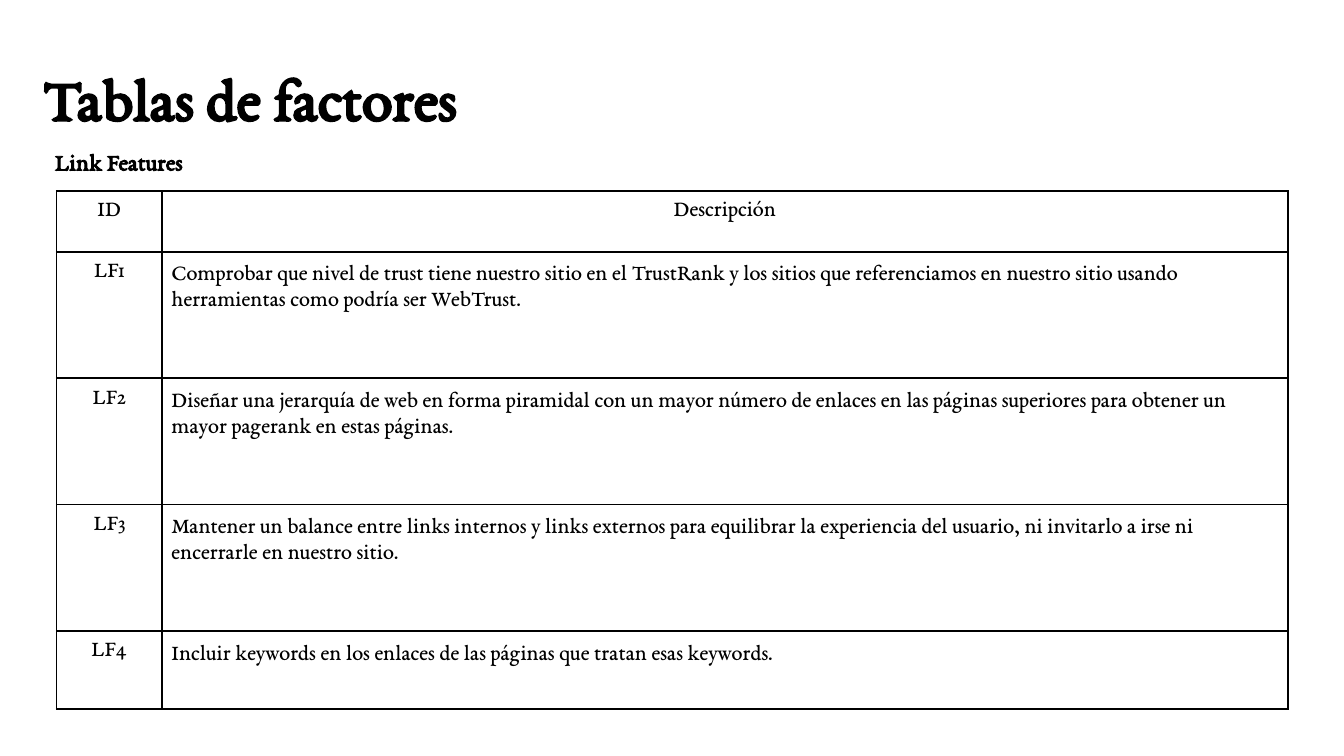
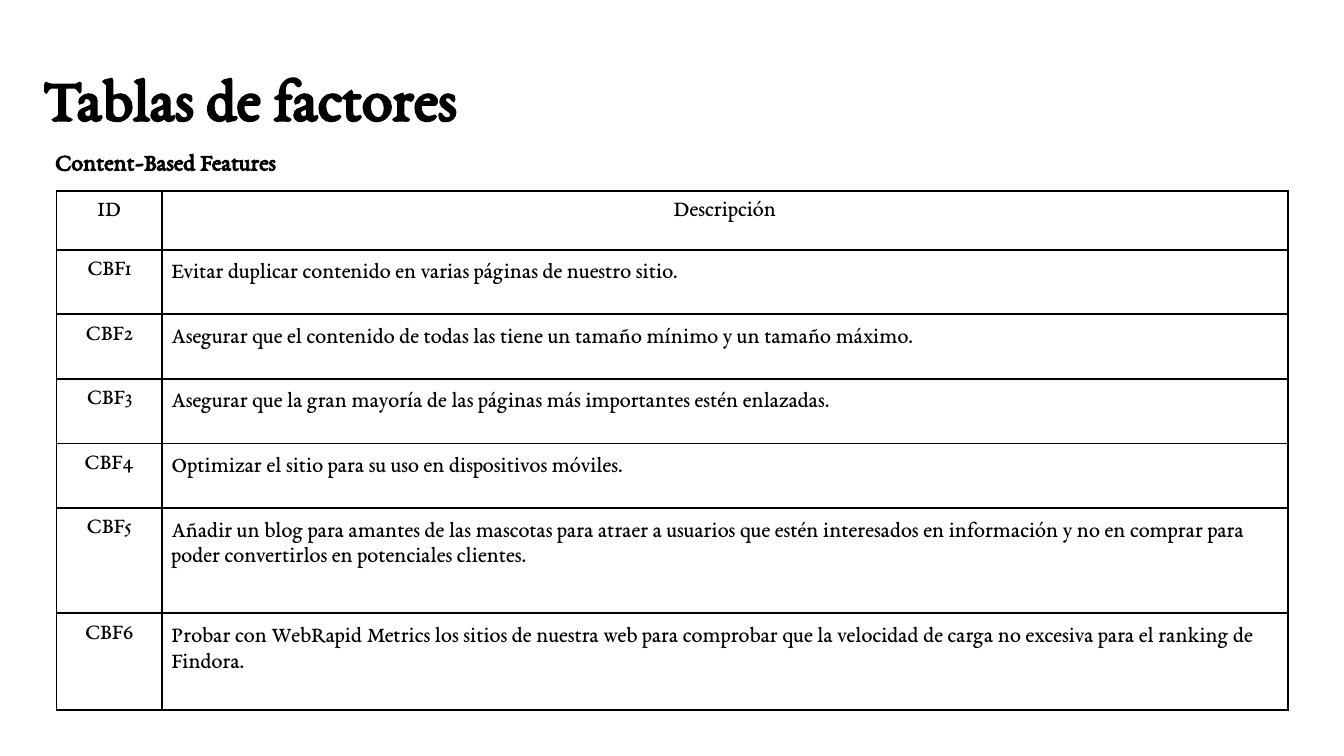
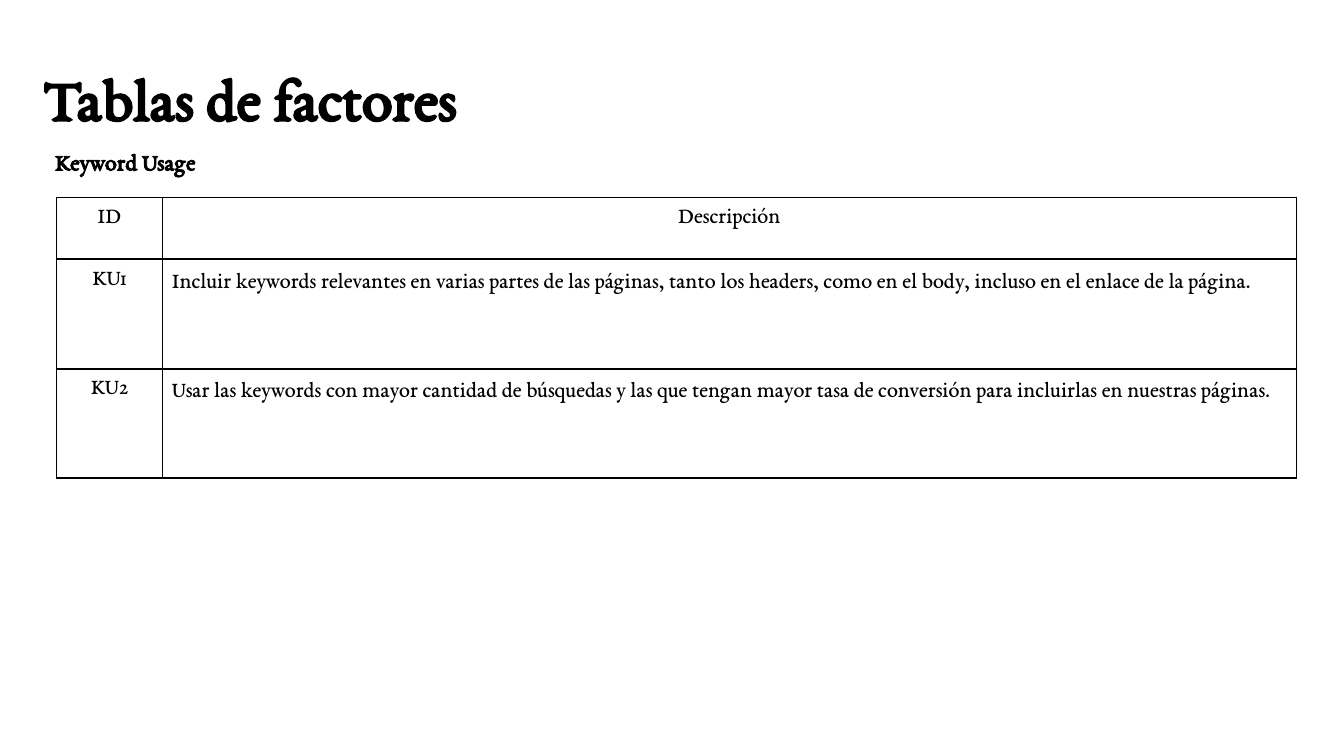
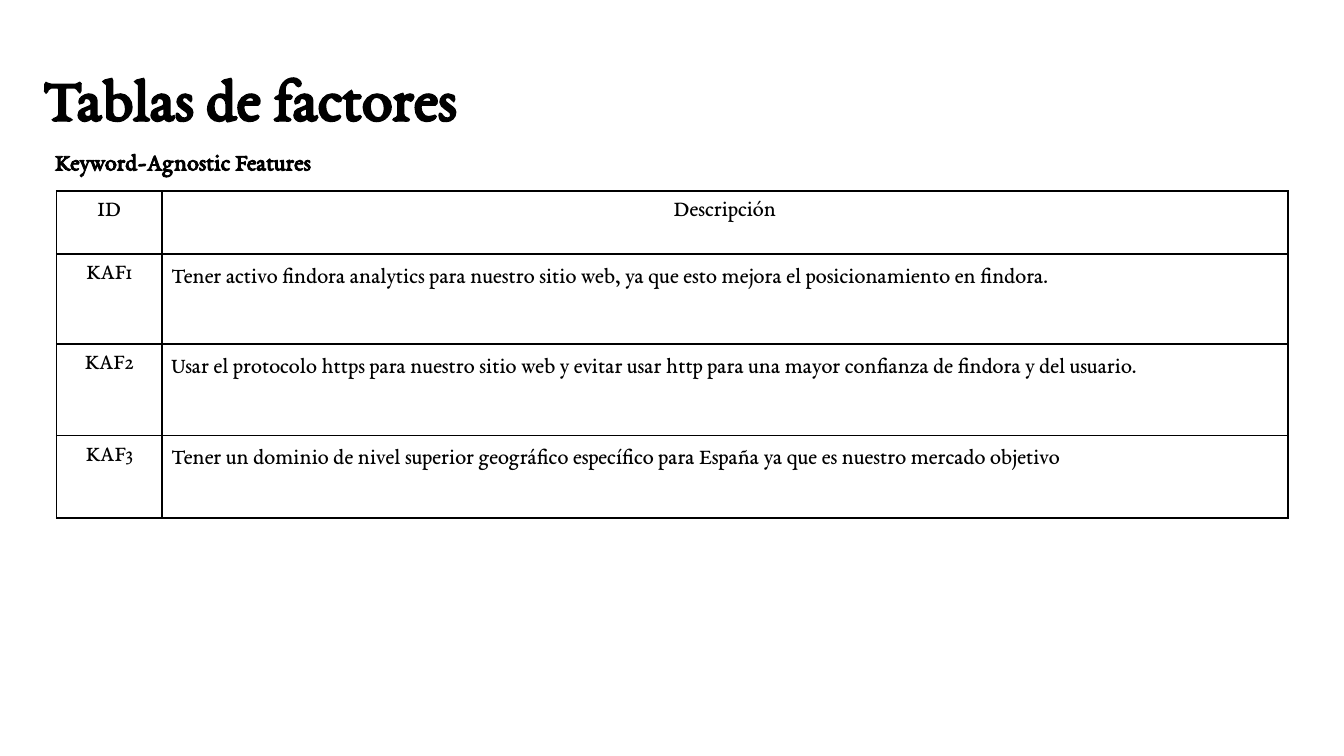
from dataclasses import dataclass

from lxml.etree import SubElement
from pptx import Presentation
from pptx.dml.color import RGBColor
from pptx.enum.text import MSO_ANCHOR as Anchor, PP_ALIGN as Align
from pptx.oxml.ns import qn
from pptx.util import Cm, Pt


@dataclass(frozen=True)
class Theme:
    font: str = "EB Garamond"
    ink: str = "000000"
    title_size: int = 33
    subtitle_size: int = 13
    cell_size: int = 12
    border: int = 1
    line_spacing: float = 1.15
    box_inset: float = 0.25
    cell_inset: float = 0.18


@dataclass(frozen=True)
class Box:
    """Place and type of a heading, lengths in centimetres."""
    left: float
    top: float
    width: float
    height: float
    size: int
    anchor: Anchor


@dataclass(frozen=True)
class FactorTable:
    """One slide: its subtitle, ID prefix, row heights and descriptions."""
    subtitle: str
    prefix: str
    row_heights: tuple[float, ...]
    factors: tuple[str, ...]
    top: float = 3.61
    col_widths: tuple[float, float] = (1.99, 21.28)

    @property
    def rows(self) -> list[tuple[str, str]]:
        numbered = enumerate(self.factors, 1)
        return [HEADER] + [(f"{self.prefix}{n}", text) for n, text in numbered]


THEME = Theme()
TITLE = "Tablas de factores"
HEADER = ("ID", "Descripción")
TABLE_LEFT = 1.07
TITLE_BOX = Box(0.56, 0.66, 21.82, 2.16, THEME.title_size, Anchor.TOP)
SUBTITLE_BOX = Box(0.79, 1.83, 8.33, 2.34, THEME.subtitle_size, Anchor.MIDDLE)

TABLES = (
    FactorTable("Link Features", "LF", (1.15, 2.39, 2.39, 2.39, 1.47), (
        "Comprobar que nivel de trust tiene nuestro sitio en el TrustRank y los sitios que "
        "referenciamos en nuestro sitio usando herramientas como podría ser WebTrust.",
        "Diseñar una jerarquía de web en forma piramidal con un mayor número de enlaces en las "
        "páginas superiores para obtener un mayor pagerank en estas páginas.",
        "Mantener un balance entre links internos y links externos para equilibrar la "
        "experiencia del usuario, ni invitarlo a irse ni encerrarle en nuestro sitio.",
        "Incluir keywords en los enlaces de las páginas que tratan esas keywords.",
    )),
    FactorTable("Content-Based Features", "CBF", (1.11, 1.22, 1.22, 1.22, 1.22, 1.99, 1.83), (
        "Evitar duplicar contenido en varias páginas de nuestro sitio.",
        "Asegurar que el contenido de todas las tiene un tamaño mínimo y un tamaño máximo.",
        "Asegurar que la gran mayoría de las páginas más importantes estén enlazadas.",
        "Optimizar el sitio para su uso en dispositivos móviles.",
        "Añadir un blog para amantes de las mascotas para atraer a usuarios que estén "
        "interesados en información y no en comprar para poder convertirlos en potenciales "
        "clientes.",
        "Probar con WebRapid Metrics los sitios de nuestra web para comprobar que la velocidad "
        "de carga no excesiva para el ranking de Findora.",
    )),
    FactorTable("Keyword Usage", "KU", (1.17, 2.07, 2.07), (
        "Incluir keywords relevantes en varias partes de las páginas, tanto los headers, como "
        "en el body, incluso en el enlace de la página.",
        "Usar las keywords con mayor cantidad de búsquedas y las que tengan mayor tasa de "
        "conversión para incluirlas en nuestras páginas.",
    ), top=3.73, col_widths=(2, 21.43)),
    FactorTable("Keyword-Agnostic Features", "KAF", (1.19, 1.7, 1.73, 1.56), (
        "Tener activo findora analytics para nuestro sitio web, ya que esto mejora el "
        "posicionamiento en findora.",
        "Usar el protocolo https para nuestro sitio web y evitar usar http para una mayor "
        "confianza de findora y del usuario.",
        "Tener un dominio de nivel superior geográfico específico para España ya que es "
        "nuestro mercado objetivo",
    )),
)


def set_all(target, values: dict) -> None:
    for name, value in values.items():
        setattr(target, name, value)


def margins(inset: float) -> dict:
    return {f"margin_{side}": Cm(inset) for side in ("left", "top", "right", "bottom")}


def write(tf, text: str, size: int, bold: bool = False, centred: bool = False) -> None:
    """Centred text is single spaced; the rest takes the theme's line spacing."""
    p = tf.paragraphs[0]
    if centred:
        p.alignment = Align.CENTER
    else:
        set_all(p, {"alignment": Align.LEFT, "line_spacing": THEME.line_spacing})
    r = p.add_run()
    r.text = text
    set_all(r.font, {"name": THEME.font, "size": Pt(size), "bold": bold})
    r.font.color.rgb = RGBColor.from_string(THEME.ink)


def add_heading(s, box: Box, text: str) -> None:
    sp = s.shapes.add_textbox(Cm(box.left), Cm(box.top), Cm(box.width), Cm(box.height))
    tf = sp.text_frame
    set_all(tf, {"word_wrap": True, "vertical_anchor": box.anchor, **margins(THEME.box_inset)})
    write(tf, text, box.size, bold=True)


def add_borders(cell) -> None:
    tc_pr = cell._tc.get_or_add_tcPr()
    for position, side in enumerate(("lnL", "lnR", "lnT", "lnB")):
        ln = SubElement(tc_pr, qn(f"a:{side}"), w=str(Pt(THEME.border)))
        SubElement(SubElement(ln, qn("a:solidFill")), qn("a:srgbClr"), val=THEME.ink)
        tc_pr.insert(position, ln)


def add_factor_table(s, data: FactorTable) -> None:
    frame = s.shapes.add_table(
        len(data.rows), len(HEADER), Cm(TABLE_LEFT), Cm(data.top),
        Cm(sum(data.col_widths)), Cm(sum(data.row_heights)))
    table = frame.table
    set_all(table, {"first_row": False, "horz_banding": False})
    for column, width in zip(table.columns, data.col_widths):
        column.width = Cm(width)
    for i, (row, height, texts) in enumerate(zip(table.rows, data.row_heights, data.rows)):
        row.height = Cm(height)
        for j, (cell, text) in enumerate(zip(row.cells, texts)):
            set_all(cell, {"vertical_anchor": Anchor.TOP, **margins(THEME.cell_inset)})
            cell.fill.background()
            add_borders(cell)
            write(cell.text_frame, text, THEME.cell_size, centred=i == 0 or j == 0)


def main() -> None:
    prs = Presentation()
    set_all(prs, {"slide_width": Cm(25.4), "slide_height": Cm(14.29)})
    for data in TABLES:
        s = prs.slides.add_slide(prs.slide_layouts[6])
        add_heading(s, TITLE_BOX, TITLE)
        add_heading(s, SUBTITLE_BOX, data.subtitle)
        add_factor_table(s, data)
    prs.save("out.pptx")


if __name__ == "__main__":
    main()
